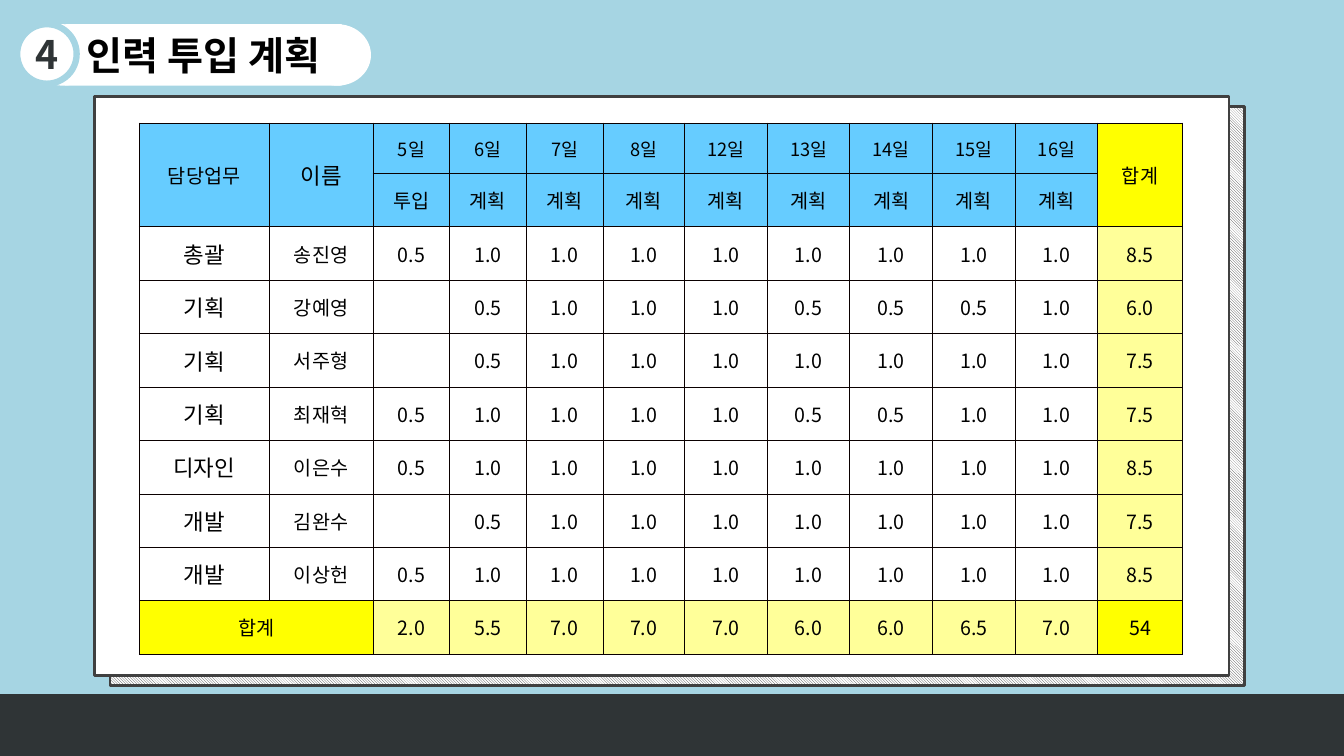
"""Build the staffing plan slide with its table of planned days per person."""
from lxml import etree
from pptx import Presentation
from pptx.dml.color import RGBColor
from pptx.enum.dml import MSO_PATTERN
from pptx.enum.shapes import MSO_SHAPE
from pptx.enum.text import MSO_ANCHOR, PP_ALIGN
from pptx.oxml.ns import qn
from pptx.util import Inches, Pt

RECT, OVAL = MSO_SHAPE.RECTANGLE, MSO_SHAPE.OVAL
HATCH = MSO_PATTERN.DARK_DOWNWARD_DIAGONAL
MIDDLE, CENTER = MSO_ANCHOR.MIDDLE, PP_ALIGN.CENTER

FONT = "Noto Sans CJK KR"
SKY, DARK, GRAY, WHITE, BLACK = "A6D5E3", "2F3436", "404040", "FFFFFF", "000000"
BLUE, YELLOW, PALE, GRID = "66CCFF", "FFFF00", "FFFF99", "0A0000"

TITLE, NUMBER = "인력 투입 계획", "4"
DUTY, NAME, TOTAL = "담당업무", "이름", "합계"
DAYS = [5, 6, 7, 8, 12, 13, 14, 15, 16]
KINDS = ["투입"] + ["계획"] * 8
STAFF = [
    ("총괄", "송진영", [0.5, 1, 1, 1, 1, 1, 1, 1, 1]),
    ("기획", "강예영", [0, 0.5, 1, 1, 1, 0.5, 0.5, 0.5, 1]),
    ("기획", "서주형", [0, 0.5, 1, 1, 1, 1, 1, 1, 1]),
    ("기획", "최재혁", [0.5, 1, 1, 1, 1, 0.5, 0.5, 1, 1]),
    ("디자인", "이은수", [0.5, 1, 1, 1, 1, 1, 1, 1, 1]),
    ("개발", "김완수", [0, 0.5, 1, 1, 1, 1, 1, 1, 1]),
    ("개발", "이상헌", [0.5, 1, 1, 1, 1, 1, 1, 1, 1]),
]
WIDTHS = [1.29, 1.03] + [0.76] * 3 + [0.81] + [0.82] * 5 + [0.84]
HEIGHTS = [0.5] + [0.53] * 9


def rgb(code):
    return RGBColor.from_string(code)


def write(frame, text, size, color=BLACK, bold=False):
    para = frame.paragraphs[0]
    para.alignment = CENTER
    run = para.add_run()
    run.text = text
    font = run.font
    font.size, font.bold, font.name = Pt(size), bold, FONT
    font.color.rgb = rgb(color)
    east = etree.SubElement(run._r.get_or_add_rPr(), qn("a:ea"))
    east.set("typeface", FONT)


def shape(kind, box, fill, line=None, width=1):
    item = slide.shapes.add_shape(kind, *[Inches(n) for n in box])
    item.shadow.inherit = False
    item.fill.solid()
    item.fill.fore_color.rgb = rgb(fill)
    if line:
        item.line.color.rgb = rgb(line)
        item.line.width = Pt(width)
    else:
        item.line.fill.background()
    item.text_frame.vertical_anchor = MIDDLE
    return item


def style(cell, fill):
    props = cell._tc.get_or_add_tcPr()
    for side in ("lnL", "lnR", "lnT", "lnB"):
        edge = etree.SubElement(props, qn("a:" + side), w=str(Pt(0.56)))
        paint = etree.SubElement(edge, qn("a:solidFill"))
        etree.SubElement(paint, qn("a:srgbClr"), val=GRID)
    cell.fill.solid()
    cell.fill.fore_color.rgb = rgb(fill)
    cell.vertical_anchor = MIDDLE
    cell.margin_left = cell.margin_right = Inches(0.07)
    cell.margin_top = cell.margin_bottom = Inches(0.02)


def shade(row, col):
    foot, side = row == len(HEIGHTS) - 1, col == len(WIDTHS) - 1
    if side and (row < 2 or foot) or foot and col < 2:
        return YELLOW
    if row < 2:
        return BLUE
    return PALE if foot or side else WHITE


def points(row, col):
    if row == 0 and 2 <= col <= len(DAYS) + 1:
        return 13
    if (row, col) == (0, 1) or col == 0 and 2 <= row < len(HEIGHTS) - 1:
        return 16
    return 14


def grid():
    sums = [sum(day) for day in zip(*[plan for _, _, plan in STAFF])]
    rows = [[DUTY, NAME] + [f"{day}일" for day in DAYS] + [TOTAL],
            ["", ""] + KINDS + [""]]
    for duty, name, plan in STAFF:
        marks = [f"{n:.1f}" if n else "" for n in plan]
        rows.append([duty, name] + marks + [f"{sum(plan):.1f}"])
    rows.append([TOTAL, ""] + [f"{n:.1f}" for n in sums] + [f"{sum(sums):g}"])
    return rows


deck = Presentation()
deck.slide_width, deck.slide_height = Inches(13.33), Inches(7.5)
slide = deck.slides.add_slide(deck.slide_layouts[6])
slide.background.fill.solid()
slide.background.fill.fore_color.rgb = rgb(SKY)

back = shape(RECT, (1.09, 1.06, 11.25, 5.74), WHITE, GRAY, 2)
back.fill.patterned()
back.fill.pattern = HATCH
back.fill.fore_color.rgb = rgb(GRAY)
back.fill.back_color.rgb = rgb(WHITE)
shape(RECT, (0.94, 0.96, 11.25, 5.74), WHITE, GRAY, 2)
shape(RECT, (0, 6.89, 13.33, 0.61), DARK, DARK)

for left in (3.01, 0.29):
    shape(OVAL, (left, 0.24, 0.67, 0.61), WHITE)
label = shape(RECT, (0.65, 0.24, 2.74, 0.61), WHITE)
write(label.text_frame, TITLE, 28, bold=True)
badge = shape(OVAL, (0.17, 0.24, 0.59, 0.59), WHITE, SKY, 4.5)
badge.text_frame.word_wrap = False
write(badge.text_frame, NUMBER, 28, DARK, True)

rows = grid()
frame = slide.shapes.add_table(
    len(HEIGHTS), len(WIDTHS), Inches(1.38), Inches(1.22),
    Inches(sum(WIDTHS)), Inches(sum(HEIGHTS)))
table = frame.table
for col, width in zip(table.columns, WIDTHS):
    col.width = Inches(width)
for row, height in zip(table.rows, HEIGHTS):
    row.height = Inches(height)
for r, texts in enumerate(rows):
    for c, text in enumerate(texts):
        cell = table.cell(r, c)
        style(cell, shade(r, c))
        if text:
            write(cell.text_frame, text, points(r, c))
last = len(WIDTHS) - 1
foot = len(HEIGHTS) - 1
for c in (0, 1, last):
    table.cell(0, c).merge(table.cell(1, c))
table.cell(foot, 0).merge(table.cell(foot, 1))

deck.save("out.pptx")
